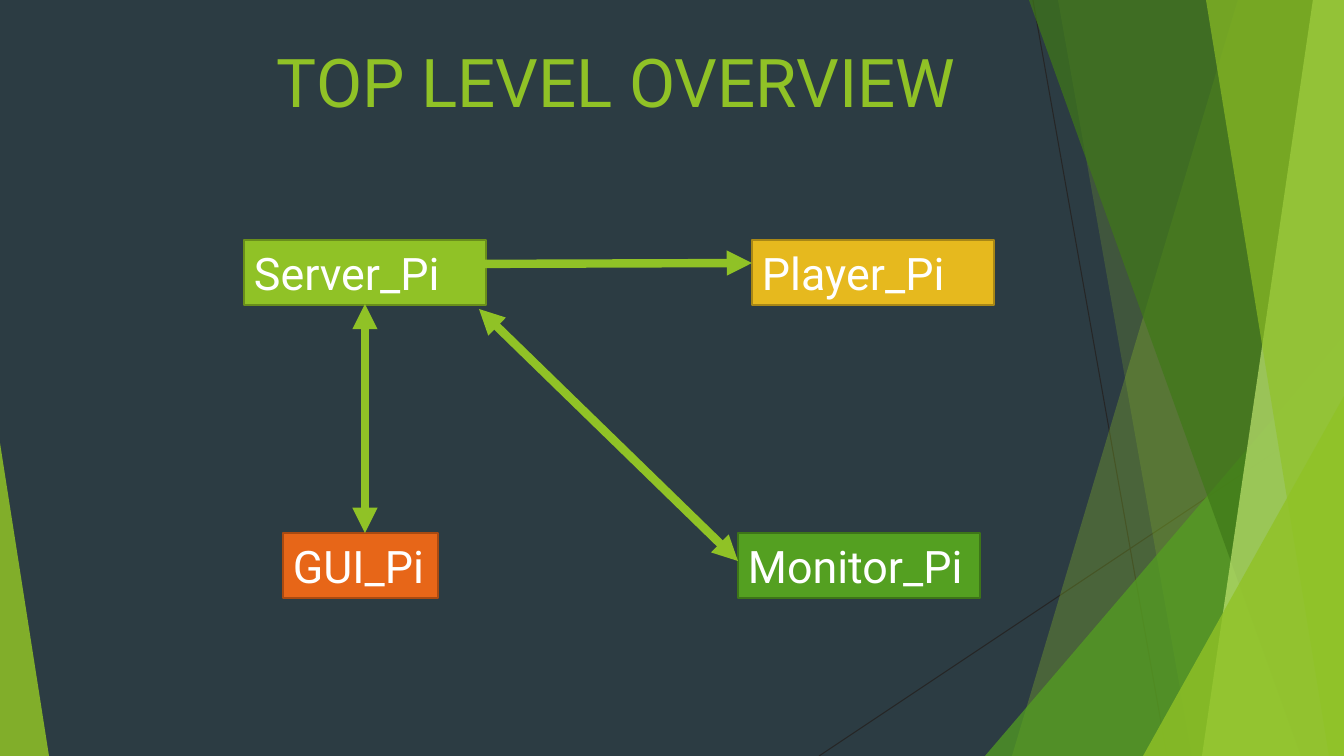
from lxml.etree import SubElement
from pptx import Presentation
from pptx.dml.color import RGBColor
from pptx.enum.shapes import MSO_CONNECTOR as Connector, MSO_SHAPE as Preset
from pptx.enum.text import MSO_ANCHOR as Anchor, PP_ALIGN as Align
from pptx.oxml.ns import qn
from pptx.util import Pt

WIDTH, HEIGHT = 1344, 756
SCALE = 12192000 / WIDTH
FONT = "Roboto"
LIME, GREEN, WHITE = "90C226", "54A021", "FFFFFF"


def px(length):
    return round(length * SCALE)


def color(hex_code):
    return RGBColor.from_string(hex_code)


def write(shape, text, size=32, hex_code=WHITE, anchor=Anchor.MIDDLE):
    frame = shape.text_frame
    frame.word_wrap = True
    frame.vertical_anchor = anchor
    frame.margin_left = frame.margin_right = px(10)
    frame.margin_top = frame.margin_bottom = px(5)
    paragraph = frame.paragraphs[0]
    paragraph.alignment = Align.LEFT
    run = paragraph.add_run()
    run.text = text
    run.font.name = FONT
    run.font.size = Pt(size)
    run.font.color.rgb = color(hex_code)


def paint_facet(shape, hex_code, opacity):
    """Fill without outline or shadow; opacity is in percent."""
    shape.shadow.inherit = False
    shape.line.fill.background()
    shape.fill.solid()
    shape.fill.fore_color.rgb = color(hex_code)
    fill_color = shape.fill._xPr.find(qn("a:solidFill"))[0]
    SubElement(fill_color, qn("a:alpha"), val=str(opacity * 1000))


def add_band(slide, top_x, bottom_x, hex_code, opacity):
    """Full-height facet between a slanted left side and the slide's right edge."""
    builder = slide.shapes.build_freeform(top_x, 0, scale=SCALE)
    builder.add_line_segments([(WIDTH, 0), (WIDTH, HEIGHT), (bottom_x, HEIGHT)])
    paint_facet(builder.convert_to_shape(), hex_code, opacity)


def add_corner(slide, left, top, width, apex, hex_code, opacity):
    """Triangle standing on the bottom edge; apex runs from 0 (left) to 1 (right)."""
    triangle = slide.shapes.add_shape(
        Preset.ISOSCELES_TRIANGLE, px(left), px(top), px(width), px(HEIGHT - top))
    triangle.adjustments[0] = apex
    paint_facet(triangle, hex_code, opacity)


def add_line(slide, start, end, hex_code, points, arrows=False):
    line = slide.shapes.add_connector(Connector.STRAIGHT, *map(px, start + end))
    line.line.color.rgb = color(hex_code)
    line.line.width = Pt(points)
    if arrows:
        for tag in ("a:headEnd", "a:tailEnd"):
            SubElement(line.line._get_or_add_ln(), qn(tag), type="triangle")
    SubElement(line._element.spPr, qn("a:effectLst"))


def add_node(slide, name, left, top, width, fill, outline):
    node = slide.shapes.add_shape(
        Preset.RECTANGLE, px(left), px(top), px(width), px(65))
    node.shadow.inherit = False
    node.fill.solid()
    node.fill.fore_color.rgb = color(fill)
    node.line.color.rgb = color(outline)
    node.line.width = Pt(1.5)
    write(node, name)


def add_backdrop(slide):
    slide.background.fill.solid()
    slide.background.fill.fore_color.rgb = color("2C3C43")
    add_line(slide, (1033, 0), (1167, HEIGHT), "262626", 0.75)
    add_line(slide, (WIDTH, 406), (819, HEIGHT), "262626", 0.75)
    add_band(slide, 1238, 1012, LIME, 30)
    add_band(slide, 1058, 1192, LIME, 20)
    add_corner(slide, 985, 336, 359, 1, GREEN, 72)
    add_band(slide, 1029, 1301, "3F7818", 70)
    add_band(slide, 1313, 1202, "BFE471", 70)
    add_band(slide, 1206, 1329, LIME, 65)
    add_corner(slide, 1143, 396, 201, 1, LIME, 80)
    add_corner(slide, 0, 443, 49, 0, LIME, 85)


def add_title(slide, text):
    title = slide.shapes.title
    title.left, title.top, title.width, title.height = map(px, (267, 35, 948, 145))
    write(title, text, size=48, hex_code=LIME, anchor=Anchor.TOP)


def main():
    presentation = Presentation()
    presentation.slide_width, presentation.slide_height = px(WIDTH), px(HEIGHT)
    slide = presentation.slides.add_slide(presentation.slide_layouts[5])
    add_backdrop(slide)
    add_title(slide, "TOP LEVEL OVERVIEW")

    upper, lower = 240, 533
    add_node(slide, "Server_Pi", 244, upper, 242, LIME, "698E1B")
    add_node(slide, "GUI_Pi", 283, lower, 155, "E76618", "A94A11")
    add_node(slide, "Monitor_Pi", 738, lower, 242, GREEN, "3D7518")
    add_node(slide, "Player_Pi", 752, upper, 242, "E6B91E", "A88716")

    for start, end in (
        ((453, 264), (752, 263)),
        ((365, 304), (365, lower)),
        ((738, 561), (479, 309)),
    ):
        add_line(slide, start, end, LIME, 6, arrows=True)

    presentation.save("out.pptx")


if __name__ == "__main__":
    main()
